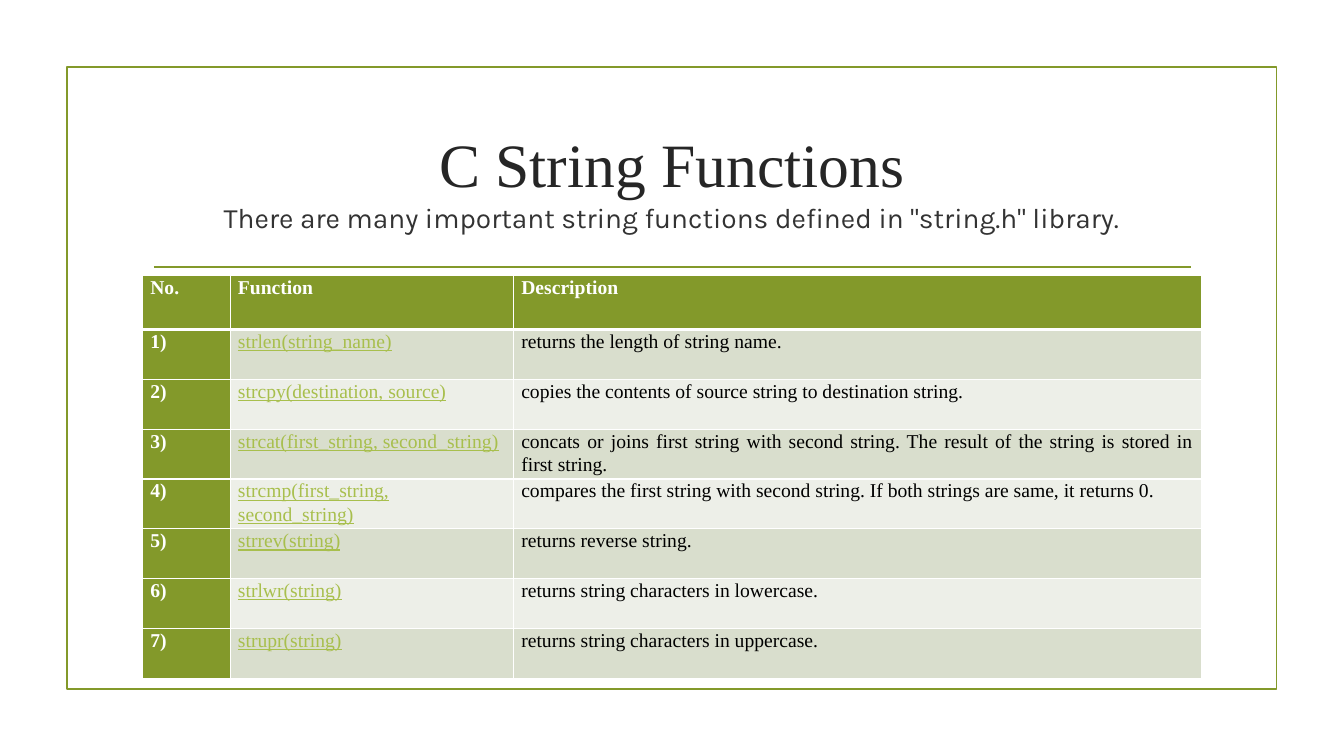
import pptx
import pptx.util
import pptx.dml.color
import pptx.enum.shapes
import pptx.enum.text
import pptx.oxml
import pptx.oxml.ns
from dataclasses import dataclass

Pt = pptx.util.Pt
Color = pptx.dml.color.RGBColor.from_string
Align = pptx.enum.text.PP_ALIGN


@dataclass(frozen=True)
class Theme:
    green: str = "83992A"
    link: str = "A8BF4D"
    band_dark: str = "D9DECD"
    band_light: str = "EDEFE8"
    white: str = "FFFFFF"
    black: str = "000000"
    heading: str = "262626"
    subheading: str = "333333"
    serif: str = "Times New Roman"
    sans: str = "Karla"
    title_size: int = 44
    subtitle_size: int = 20
    table_size: int = 14


theme = Theme()


def add_run(paragraph, text, font_name, size, color, bold=False, underline=False):
    run = paragraph.add_run()
    run.text = text
    run.font.name = font_name
    run.font.size = Pt(size)
    run.font.color.rgb = Color(color)
    run.font.bold = bold
    run.font.underline = underline


def add_borders(cell, bottom_width):
    properties = cell._tc.get_or_add_tcPr()
    widths = {"lnL": 1, "lnR": 1, "lnT": 1, "lnB": bottom_width}
    for position, (side, width) in enumerate(widths.items()):
        border = pptx.oxml.parse_xml(
            f'<a:{side} {pptx.oxml.ns.nsdecls("a")} w="{Pt(width)}"><a:solidFill>'
            f'<a:srgbClr val="{theme.white}"/></a:solidFill></a:{side}>'
        )
        properties.insert(position, border)


presentation = pptx.Presentation()
presentation.slide_width = Pt(960)
presentation.slide_height = Pt(540)
slide = presentation.slides.add_slide(presentation.slide_layouts[5])

frame = slide.shapes.add_shape(
    pptx.enum.shapes.MSO_SHAPE.RECTANGLE, Pt(47.8), Pt(48), Pt(864), Pt(444)
)
frame.shadow.inherit = False
frame.fill.background()
frame.line.color.rgb = Color(theme.green)
frame.line.width = Pt(1.25)

divider = slide.shapes.add_connector(
    pptx.enum.shapes.MSO_CONNECTOR.STRAIGHT, Pt(110), Pt(190.8), Pt(850.4), Pt(190.8)
)
divider.line.color.rgb = Color(theme.green)
divider.line.width = Pt(1.25)
divider._element.spPr.append(
    pptx.oxml.parse_xml(f'<a:effectLst {pptx.oxml.ns.nsdecls("a")}/>')
)

title = slide.shapes.title
title.left, title.top, title.width, title.height = Pt(102), Pt(77), Pt(756), Pt(103)
title.text_frame.word_wrap = True
title.text_frame.vertical_anchor = pptx.enum.text.MSO_ANCHOR.MIDDLE
paragraph = title.text_frame.paragraphs[0]
paragraph.alignment = Align.CENTER
add_run(paragraph, "C String Functions", theme.serif, theme.title_size, theme.heading)
paragraph.add_line_break()
add_run(
    paragraph,
    'There are many important string functions defined in "string.h" library.',
    theme.sans, theme.subtitle_size, theme.subheading,
)

headers = ("No.", "Function", "Description")
functions = [
    ("strlen(string_name)", "returns the length of string name."),
    ("strcpy(destination, source)",
     "copies the contents of source string to destination string."),
    ("strcat(first_string, second_string)",
     "concats or joins first string with second string. "
     "The result of the string is stored in first string."),
    ("strcmp(first_string, second_string)",
     "compares the first string with second string. "
     "If both strings are same, it returns 0."),
    ("strrev(string)", "returns reverse string."),
    ("strlwr(string)", "returns string characters in lowercase."),
    ("strupr(string)", "returns string characters in uppercase."),
]
rows = [headers] + [
    (f"{number})", *function) for number, function in enumerate(functions, 1)
]

table = slide.shapes.add_table(
    len(rows), len(headers), Pt(102), Pt(197), Pt(756), Pt(287.6)
).table
for column, width in zip(table.columns, (62.6, 202.4, 491)):
    column.width = Pt(width)

for row_index, row in enumerate(rows):
    is_header = row_index == 0
    table.rows[row_index].height = Pt(38.4 if is_header else 35.6)
    band = theme.band_dark if row_index % 2 else theme.band_light
    for column_index, text in enumerate(row):
        is_green = is_header or column_index == 0
        is_link = column_index == 1 and not is_header
        cell = table.cell(row_index, column_index)
        cell.margin_left = cell.margin_right = Pt(5.4)
        cell.margin_top = cell.margin_bottom = Pt(0)
        cell.fill.solid()
        cell.fill.fore_color.rgb = Color(theme.green if is_green else band)
        add_borders(cell, 3 if is_header else 1)
        paragraph = cell.text_frame.paragraphs[0]
        paragraph.alignment = Align.LEFT if is_header else Align.JUSTIFY
        paragraph.line_spacing = 1.07
        color = theme.white if is_green else theme.link if is_link else theme.black
        add_run(paragraph, text, theme.serif, theme.table_size, color, is_green, is_link)

presentation.save("out.pptx")
